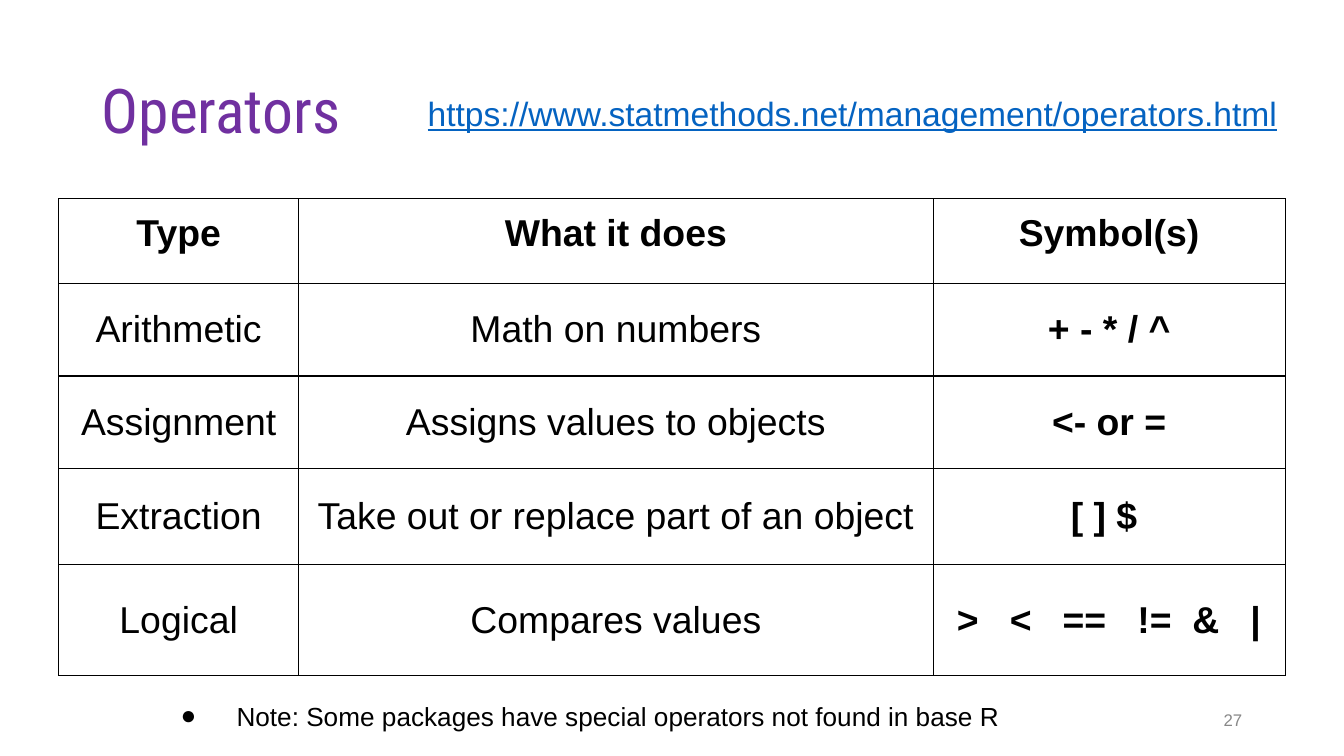
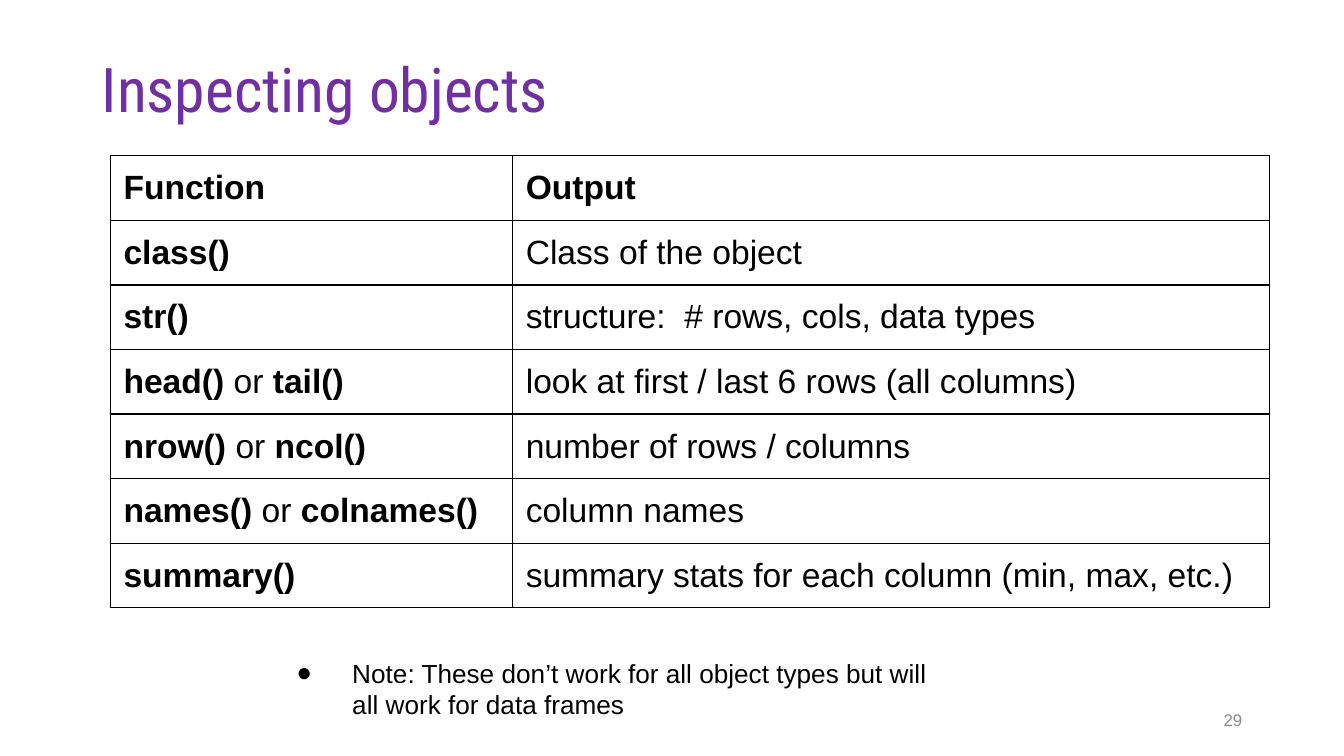
from dataclasses import dataclass

import lxml.etree
import pptx
import pptx.dml.color
import pptx.enum.text
import pptx.oxml.ns
import pptx.presentation
import pptx.shapes.base
import pptx.slide
import pptx.table
import pptx.text.text
import pptx.util

Pt = pptx.util.Pt
Align = pptx.enum.text.PP_ALIGN
Anchor = pptx.enum.text.MSO_ANCHOR
qn = pptx.oxml.ns.qn


@dataclass(frozen=True)
class Theme:
    purple: str = "7030A0"
    link: str = "0563C1"
    ink: str = "000000"
    gray: str = "888888"
    title_font: str = "Roboto Condensed"
    body_font: str = "Arial"
    title_size: float = 33
    link_size: float = 18
    note_size: float = 14
    number_size: float = 9
    border: float = 0.75
    inset: float = 7.2
    small_inset: tuple[float, float] = (5, 2.7)


THEME = Theme()


@dataclass(frozen=True)
class Box:
    left: float
    top: float
    width: float
    height: float


@dataclass(frozen=True)
class Run:
    text: str
    bold: bool = False


Cell = tuple[Run, ...]


@dataclass(frozen=True)
class Grid:
    left: float
    top: float
    columns: tuple[float, ...]
    heights: tuple[float, ...]
    rows: tuple[tuple[Cell, ...], ...]
    size: float
    align: Align
    anchor: Anchor


@dataclass(frozen=True)
class Page:
    title: str
    title_top: float
    grid: Grid
    note: str
    note_box: Box
    number: str
    link: str = ""


LINK_BOX = Box(222, 42.5, 478, 36)
NUMBER_BOX = Box(508.5, 375, 162, 21.5)


def plain(text: str) -> Cell:
    return (Run(text),)


def bold(text: str) -> Cell:
    return (Run(text, True),)


def either(first: str, second: str) -> Cell:
    return (Run(f"{first} ", True), Run("or "), Run(second, True))


OPERATORS = (
    ("Arithmetic", "Math on numbers", "+ - * / ^"),
    ("Assignment", "Assigns values to objects", "<- or ="),
    ("Extraction", "Take out or replace part of an object", "[ ] $ "),
    ("Logical", "Compares values", ">   <   ==   !=  &   |"),
)

INSPECTORS = (
    (bold("class()"), "Class of the object"),
    (bold("str()"), "structure:  # rows, cols, data types"),
    (either("head()", "tail()"), "look at first / last 6 rows (all columns)"),
    (either("nrow()", "ncol()"), "number of rows / columns"),
    (either("names()", "colnames()"), "column names"),
    (bold("summary()"), "summary stats for each column (min, max, etc.)"),
)

PAGES = (
    Page(
        title="Operators",
        title_top=21.5,
        link="https://www.statmethods.net/management/operators.html",
        grid=Grid(
            left=31.5,
            top=106.5,
            columns=(128.5, 340, 188.5),
            heights=(45.5, 49.5, 49.5, 51.5, 59.5),
            rows=(
                (bold("Type"), bold("What it does"), bold("Symbol(s)")),
                *((plain(kind), plain(action), bold(symbols))
                  for kind, action, symbols in OPERATORS),
            ),
            size=20,
            align=Align.CENTER,
            anchor=Anchor.MIDDLE,
        ),
        note="Note: Some packages have special operators not found in base R",
        note_box=Box(86.5, 371.5, 512, 24.5),
        number="27",
    ),
    Page(
        title="Inspecting objects",
        title_top=10.5,
        grid=Grid(
            left=59,
            top=83.5,
            columns=(215.5, 405.5),
            heights=(34.5,) * (len(INSPECTORS) + 1),
            rows=(
                (bold("Function"), bold("Output")),
                *((function, plain(output)) for function, output in INSPECTORS),
            ),
            size=18,
            align=Align.LEFT,
            anchor=Anchor.TOP,
        ),
        note="Note: These don’t work for all object types but will all work for data frames",
        note_box=Box(148.5, 348.5, 360, 41),
        number="29",
    ),
)


def place(shape: pptx.shapes.base.BaseShape, box: Box) -> None:
    shape.left, shape.top = Pt(box.left), Pt(box.top)
    shape.width, shape.height = Pt(box.width), Pt(box.height)


def set_frame(frame: pptx.text.text.TextFrame, anchor: Anchor,
              horizontal: float, vertical: float) -> None:
    frame.word_wrap = True
    frame.auto_size = pptx.enum.text.MSO_AUTO_SIZE.NONE
    frame.vertical_anchor = anchor
    frame.margin_left = frame.margin_right = Pt(horizontal)
    frame.margin_top = frame.margin_bottom = Pt(vertical)


def add_run(paragraph: pptx.text.text._Paragraph, content: Run, size: float,
            color: str = THEME.ink, font: str = THEME.body_font) -> pptx.text.text._Run:
    run = paragraph.add_run()
    run.text = content.text
    run.font.name = font
    run.font.size = Pt(size)
    run.font.bold = content.bold
    run.font.color.rgb = pptx.dml.color.RGBColor.from_string(color)
    return run


def add_color(parent: lxml.etree._Element, color: str) -> None:
    lxml.etree.SubElement(parent, qn("a:srgbClr")).set("val", color)


def add_title(slide: pptx.slide.Slide, page: Page) -> None:
    shape = slide.shapes.title
    place(shape, Box(49.5, page.title_top, 621, 78.5))
    set_frame(shape.text_frame, Anchor.MIDDLE, *THEME.small_inset)
    paragraph = shape.text_frame.paragraphs[0]
    paragraph.alignment = Align.LEFT
    paragraph.line_spacing = 0.9
    add_run(paragraph, Run(page.title), THEME.title_size, THEME.purple, THEME.title_font)


def add_note(slide: pptx.slide.Slide, page: Page) -> None:
    shape = slide.placeholders[1]
    place(shape, page.note_box)
    set_frame(shape.text_frame, Anchor.TOP, THEME.inset, THEME.inset / 2)
    paragraph = shape.text_frame.paragraphs[0]
    paragraph.alignment = Align.LEFT
    paragraph.space_before = Pt(0)
    properties = paragraph._p.get_or_add_pPr()
    properties.set("marL", str(Pt(33)))
    properties.set("indent", str(Pt(-30)))
    add_color(lxml.etree.SubElement(properties, qn("a:buClr")), THEME.ink)
    lxml.etree.SubElement(properties, qn("a:buFont")).set("typeface", THEME.body_font)
    lxml.etree.SubElement(properties, qn("a:buChar")).set("char", "●")
    add_run(paragraph, Run(page.note), THEME.note_size)


def add_label(slide: pptx.slide.Slide, box: Box, text: str, size: float, color: str,
              align: Align, insets: tuple[float, float]) -> pptx.text.text._Run:
    shape = slide.shapes.add_textbox(
        Pt(box.left), Pt(box.top), Pt(box.width), Pt(box.height))
    set_frame(shape.text_frame, Anchor.MIDDLE, *insets)
    paragraph = shape.text_frame.paragraphs[0]
    paragraph.alignment = align
    return add_run(paragraph, Run(text), size, color)


def set_borders(cell: pptx.table._Cell) -> None:
    properties = cell._tc.get_or_add_tcPr()
    for index, side in enumerate(("a:lnL", "a:lnR", "a:lnT", "a:lnB")):
        line = lxml.etree.Element(qn(side))
        line.set("w", str(Pt(THEME.border)))
        add_color(lxml.etree.SubElement(line, qn("a:solidFill")), THEME.ink)
        properties.insert(index, line)


def add_grid(slide: pptx.slide.Slide, grid: Grid) -> None:
    table = slide.shapes.add_table(
        len(grid.heights), len(grid.columns), Pt(grid.left), Pt(grid.top),
        Pt(sum(grid.columns)), Pt(sum(grid.heights))).table
    table.horz_banding = False
    for column, width in zip(table.columns, grid.columns):
        column.width = Pt(width)
    for row_index, (height, contents) in enumerate(zip(grid.heights, grid.rows)):
        table.rows[row_index].height = Pt(height)
        for column_index, runs in enumerate(contents):
            cell = table.cell(row_index, column_index)
            cell.fill.background()
            set_borders(cell)
            cell.vertical_anchor = grid.anchor if row_index else Anchor.TOP
            cell.margin_left = cell.margin_right = Pt(THEME.inset)
            cell.margin_top = cell.margin_bottom = Pt(THEME.inset)
            paragraph = cell.text_frame.paragraphs[0]
            paragraph.alignment = grid.align
            for run in runs:
                add_run(paragraph, run, grid.size)


def add_page(presentation: pptx.presentation.Presentation, page: Page) -> None:
    slide = presentation.slides.add_slide(presentation.slide_layouts[1])
    add_title(slide, page)
    if page.link:
        run = add_label(slide, LINK_BOX, page.link, THEME.link_size, THEME.link,
                        Align.LEFT, (THEME.inset, THEME.inset))
        run.font.underline = True
    add_grid(slide, page.grid)
    add_label(slide, NUMBER_BOX, page.number, THEME.number_size, THEME.gray,
              Align.RIGHT, THEME.small_inset)
    add_note(slide, page)


def main() -> None:
    presentation = pptx.Presentation()
    presentation.slide_width = Pt(720)
    presentation.slide_height = Pt(405)
    for page in PAGES:
        add_page(presentation, page)
    presentation.save("out.pptx")


if __name__ == "__main__":
    main()
